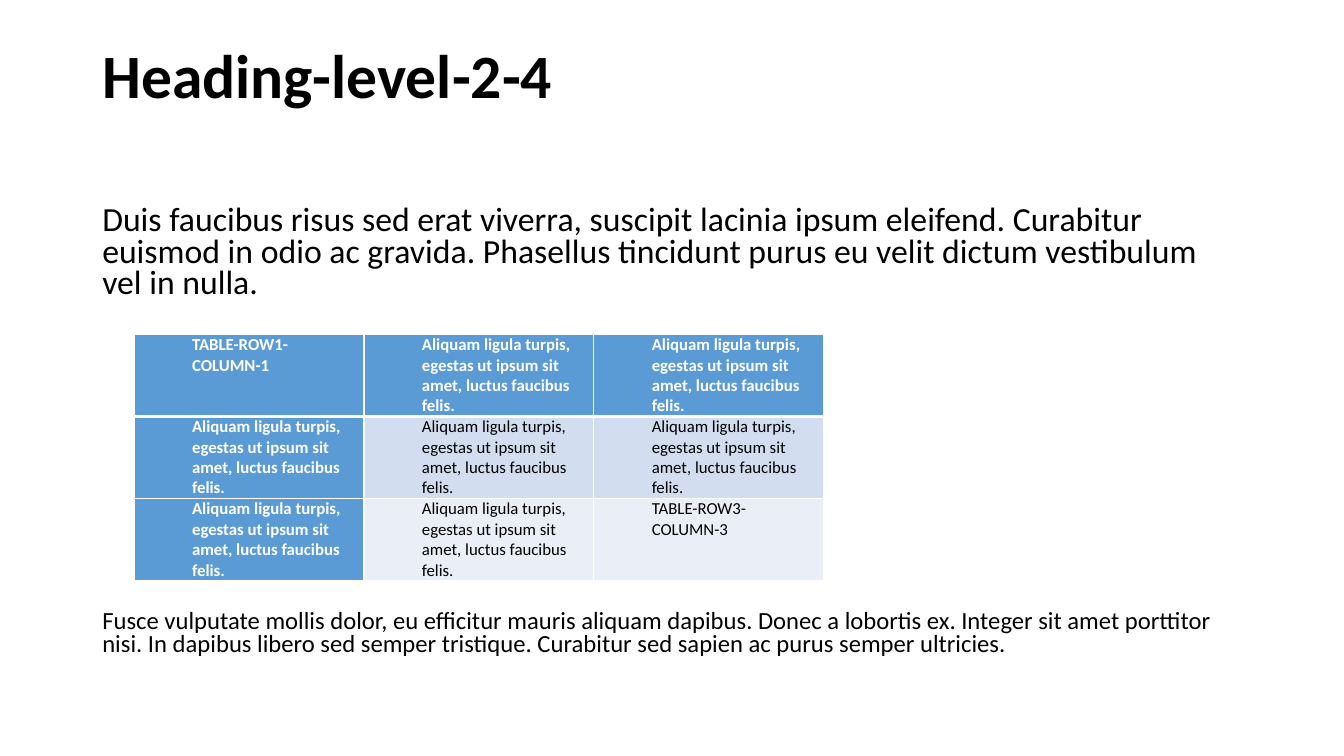
from lxml import etree
from pptx import Presentation
from pptx import util as u
from pptx.dml.color import RGBColor
from pptx.enum import text
from pptx.oxml import ns

BLACK = RGBColor(0x00, 0x00, 0x00)
WHITE = RGBColor(0xFF, 0xFF, 0xFF)
BLUE = RGBColor(0x5B, 0x9B, 0xD5)
BAND_FILLS = [BLUE, RGBColor(0xD2, 0xDE, 0xEF), RGBColor(0xEA, 0xEF, 0xF7)]

FILLER = "Aliquam ligula turpis, egestas ut ipsum sit amet, luctus faucibus felis."
ROWS = [
    ["TABLE-ROW1-COLUMN-1", FILLER, FILLER],
    [FILLER, FILLER, FILLER],
    [FILLER, FILLER, "TABLE-ROW3-COLUMN-3"],
]


def write(para, words, size, color=BLACK, bold=False, spacing=1.0, before=0):
    para.alignment = text.PP_ALIGN.LEFT
    para.line_spacing = spacing
    para.space_before = u.Pt(before)
    span = para.add_run()
    span.text = words
    span.font.name = "Calibri"
    span.font.size = u.Pt(size)
    span.font.bold = bold
    span.font.color.rgb = color


def add_border(cell, side, width):
    line = etree.SubElement(cell._tc.get_or_add_tcPr(), ns.qn(f"a:ln{side}"), w=str(u.Pt(width)))
    fill = etree.SubElement(line, ns.qn("a:solidFill"))
    etree.SubElement(fill, ns.qn("a:srgbClr"), val=str(WHITE))


deck = Presentation()
deck.slide_width, deck.slide_height = u.Pt(960), u.Pt(540)
page = deck.slides.add_slide(deck.slide_layouts[6])

frames = []
for top, height in [(28.8, 104.4), (144, 342.7)]:
    box = page.shapes.add_textbox(u.Pt(66), u.Pt(top), u.Pt(828), u.Pt(height))
    box.text_frame.word_wrap = True
    frames.append(box.text_frame)
title, body = frames

write(title.paragraphs[0], "Heading-level-2-4", 44, bold=True, spacing=0.9)
write(
    body.paragraphs[0],
    "Duis faucibus risus sed erat viverra, suscipit lacinia ipsum eleifend. "
    "Curabitur euismod in odio ac gravida. Phasellus tincidunt purus eu velit "
    "dictum vestibulum vel in nulla.",
    24.1,
    spacing=0.78,
)
write(
    body.add_paragraph(),
    "Fusce vulputate mollis dolor, eu efficitur mauris aliquam dapibus. Donec a "
    "lobortis ex. Integer sit amet porttitor nisi. In dapibus libero sed semper "
    "tristique. Curabitur sed sapien ac purus semper ultricies.",
    17.6,
    spacing=0.78,
    before=221,
)

table = page.shapes.add_table(
    3, 3, u.Pt(95.8), u.Pt(239), u.Pt(492.6), u.Pt(175.8)
).table
for column in table.columns:
    column.width = u.Pt(164.2)
for r, row in enumerate(ROWS):
    table.rows[r].height = u.Pt(58.6)
    for c, words in enumerate(row):
        cell = table.cell(r, c)
        heading = r == 0 or c == 0
        cell.margin_left = cell.margin_right = u.Pt(5.4)
        cell.margin_top = cell.margin_bottom = u.Pt(0)
        for side in "LRTB":
            under_header = (r, side) in [(0, "B"), (1, "T")]
            add_border(cell, side, 3 if under_header else 1)
        cell.fill.solid()
        cell.fill.fore_color.rgb = BLUE if heading else BAND_FILLS[r]
        para = cell.text_frame.paragraphs[0]
        write(para, words, 12, color=WHITE if heading else BLACK, bold=heading)
        para._p.get_or_add_pPr().set("marL", str(u.Pt(36)))

deck.save("out.pptx")
